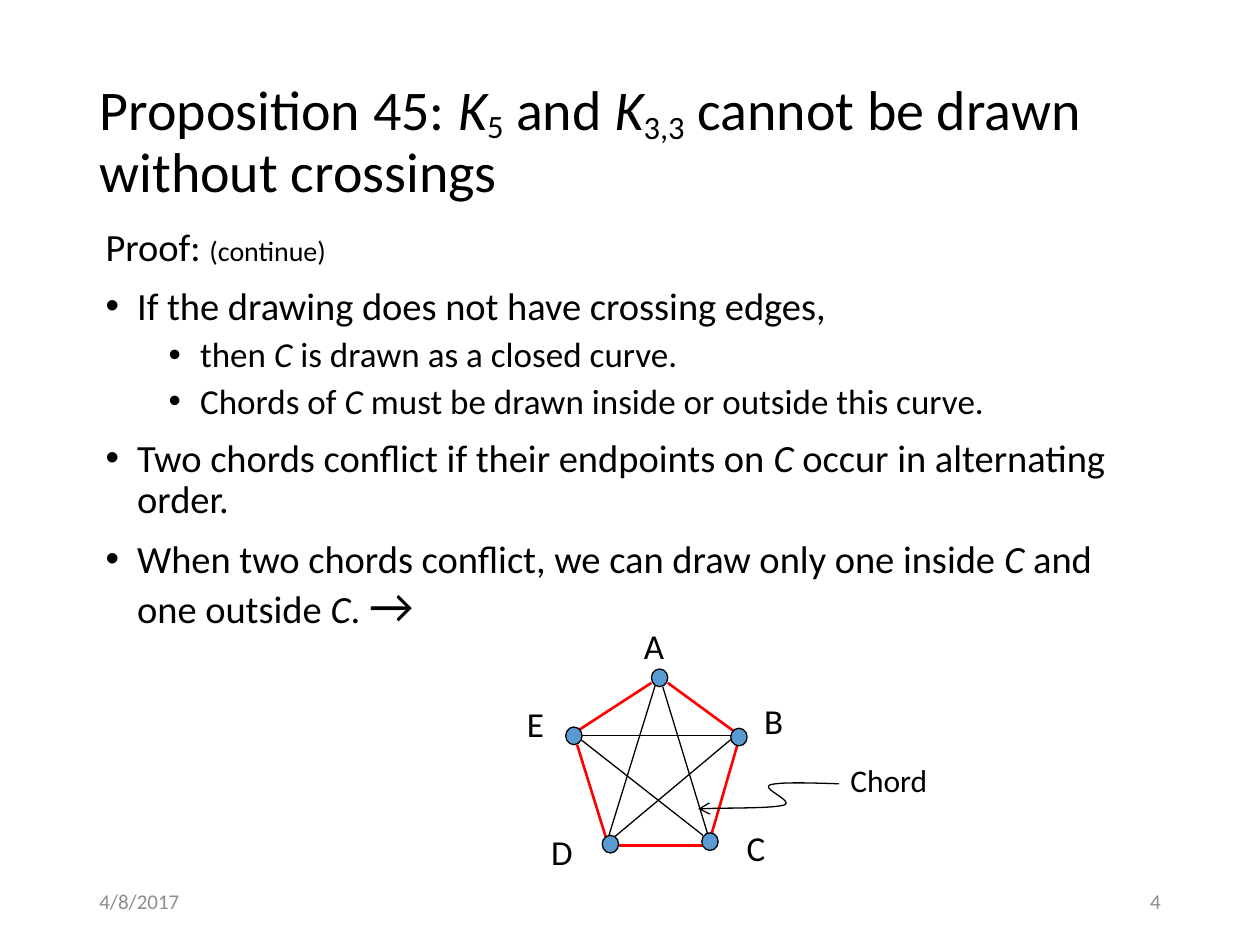
from dataclasses import dataclass

from lxml import etree
from pptx import Presentation
from pptx.dml.color import RGBColor
from pptx.enum import shapes, text
from pptx.oxml.ns import qn
from pptx.util import Inches, Pt


@dataclass(frozen=True)
class Theme:
    font: str = "Calibri"
    ink: str = "000000"
    grey: str = "8C8C8C"
    node: str = "5B9BD5"
    cycle: str = "FF0000"
    title: int = 32
    body: int = 22
    sub: int = 20
    arrow: int = 28
    small: int = 16
    label: int = 20
    note: int = 18
    footer: int = 12
    thin: float = 0.75
    thick: float = 1.5


T = Theme()
ITALIC = {"italic": True}

# A run is (text, options); a body paragraph is (level, bulleted, runs).
TITLE = [("Proposition 45: ", {}), ("K", ITALIC), ("5", {"base": -14}),
         (" and ", {}), ("K", ITALIC), ("3,3", {"base": -16}),
         (" cannot be drawn without crossings", {})]
BODY = [
    (0, False, [("Proof: ", {}), ("(continue)", {"size": T.small})]),
    (0, True, [("If the drawing does not have crossing edges,", {})]),
    (1, True, [("then ", {}), ("C", ITALIC), (" is drawn as a closed curve.", {})]),
    (1, True, [("Chords of ", {}), ("C", ITALIC),
               (" must be drawn inside or outside this curve.", {})]),
    (0, True, [("Two chords conflict if their endpoints on ", {}), ("C", ITALIC),
               (" occur in alternating order.", {})]),
    (0, True, [("When two chords conflict, we can draw only one inside ", {}),
               ("C", ITALIC), (" and one outside ", {}), ("C", ITALIC),
               (". ", {}), ("→", {"size": T.arrow})]),
]
# Per level: left indent, space before, size
LEVELS = [(0.25, 10, T.body), (0.75, 5, T.sub)]

# Vertex: top left of its dot, top left of its label
VERTICES = {
    "A": ((5.17, 5.31), (4.98, 4.91)),
    "B": ((5.8, 5.78), (5.93, 5.5)),
    "C": ((5.57, 6.61), (5.79, 6.51)),
    "D": ((4.78, 6.63), (4.25, 6.54)),
    "E": ((4.49, 5.77), (4.04, 5.53)),
}
CHORDS = [(4.88, 6.64, 5.8, 5.87), (4.61, 5.87, 5.58, 6.63),
          (4.62, 5.84, 5.81, 5.84), (5.26, 5.45, 5.62, 6.63),
          (5.2, 5.44, 4.83, 6.64)]
CYCLE = [(5.17, 5.42, 4.6, 5.79), (5.3, 5.42, 5.82, 5.8),
         (4.91, 6.71, 5.58, 6.71), (4.58, 5.91, 4.81, 6.65),
         (5.85, 5.92, 5.65, 6.61)]
# Cubic curve: start, then control, control, end for each segment
POINTER = [(6.66, 6.22), (6.57, 6.22), (6.19, 6.2), (6.11, 6.23),
           (6.04, 6.26), (6.31, 6.36), (6.22, 6.39),
           (6.12, 6.42), (5.66, 6.41), (5.54, 6.42)]


def rgb(color):
    return RGBColor.from_string(color)


def add_runs(p, runs, size, color=T.ink):
    for words, opts in runs:
        r = p.add_run()
        r.text = words
        r.font.name = T.font
        r.font.size = Pt(opts.get("size", size))
        r.font.italic = opts.get("italic", False)
        r.font.color.rgb = rgb(color)
        if "base" in opts:
            r._r.get_or_add_rPr().set("baseline", str(opts["base"] * 1000))


def add_text(slide, box, words, size, color=T.ink, align=text.PP_ALIGN.LEFT,
             anchor=text.MSO_ANCHOR.TOP):
    tf = slide.shapes.add_textbox(*map(Inches, box)).text_frame
    tf.word_wrap = True
    tf.vertical_anchor = anchor
    p = tf.paragraphs[0]
    p.alignment = align
    add_runs(p, [(words, {})], size, color)


def add_title(slide):
    s = slide.shapes.title
    s.left, s.top, s.width, s.height = map(Inches, (0.69, 0.4, 8.62, 1.45))
    tf = s.text_frame
    tf.auto_size = text.MSO_AUTO_SIZE.NONE
    tf.vertical_anchor = text.MSO_ANCHOR.MIDDLE
    p = tf.paragraphs[0]
    p.alignment = text.PP_ALIGN.LEFT
    p.line_spacing = 0.9
    add_runs(p, TITLE, T.title)


def add_body(slide):
    box = map(Inches, (0.74, 1.76, 8.56, 3.39))
    tf = slide.shapes.add_textbox(*box).text_frame
    tf.word_wrap = True
    for i, (level, bulleted, runs) in enumerate(BODY):
        p = tf.add_paragraph() if i else tf.paragraphs[0]
        indent, before, size = LEVELS[level]
        p.level = level
        p.line_spacing = 0.9
        p.space_before = Pt(before if i else 0)
        pPr = p._p.get_or_add_pPr()
        pPr.set("marL", str(Inches(indent)))
        pPr.set("indent", str(Inches(-0.25)))
        if bulleted:
            etree.SubElement(pPr, qn("a:buFont")).set("typeface", "Arial")
            etree.SubElement(pPr, qn("a:buChar")).set("char", "•")
        add_runs(p, runs, size)


def add_edges(slide, edges, color, width):
    for edge in edges:
        s = slide.shapes.add_connector(shapes.MSO_CONNECTOR.STRAIGHT,
                                       *map(Inches, edge))
        s.line.color.rgb = rgb(color)
        s.line.width = Pt(width)
        etree.SubElement(s._element.spPr, qn("a:effectLst"))


def add_vertices(slide):
    for name, (dot, label) in VERTICES.items():
        s = slide.shapes.add_shape(shapes.MSO_SHAPE.OVAL,
                                   *map(Inches, (*dot, 0.13, 0.14)))
        s.shadow.inherit = False
        s.fill.solid()
        s.fill.fore_color.rgb = rgb(T.node)
        s.line.color.rgb = rgb(T.ink)
        s.line.width = Pt(T.thin)
        add_text(slide, (*label, 0.42, 0.43), name, T.label,
                 align=text.PP_ALIGN.CENTER)


def curve_points(points, steps=16):
    """Sample a chain of cubic segments, its start included, in EMU."""
    yield tuple(map(Inches, points[0]))
    for i in range(0, len(points) - 1, 3):
        for k in range(1, steps + 1):
            t = k / steps
            weights = ((1 - t) ** 3, 3 * t * (1 - t) ** 2,
                       3 * t ** 2 * (1 - t), t ** 3)
            yield tuple(
                Inches(sum(w * pt[axis] for w, pt in zip(weights, points[i:i + 4])))
                for axis in (0, 1))


def add_pointer(slide):
    start, *rest = curve_points(POINTER)
    fb = slide.shapes.build_freeform(*start)
    fb.add_line_segments(rest, close=False)
    s = fb.convert_to_shape()
    s.shadow.inherit = False
    s.fill.background()
    s.line.color.rgb = rgb(T.ink)
    s.line.width = Pt(T.thin)
    etree.SubElement(s.line._get_or_add_ln(), qn("a:tailEnd")).set("type", "arrow")


def main():
    prs = Presentation()
    prs.slide_width, prs.slide_height = Inches(10), Inches(7.5)
    slide = prs.slides.add_slide(prs.slide_layouts.get_by_name("Title Only"))
    add_title(slide)
    add_body(slide)
    add_edges(slide, CHORDS, T.ink, T.thin)
    add_edges(slide, CYCLE, T.cycle, T.thick)
    add_vertices(slide)
    add_text(slide, (6.65, 5.99, 1.27, 0.5), "Chord", T.note)
    add_pointer(slide)
    for left, words, align in ((0.69, "4/8/2017", text.PP_ALIGN.LEFT),
                               (7.06, "4", text.PP_ALIGN.RIGHT)):
        add_text(slide, (left, 6.95, 2.25, 0.4), words, T.footer, T.grey, align,
                 text.MSO_ANCHOR.MIDDLE)
    prs.save("out.pptx")


if __name__ == "__main__":
    main()
